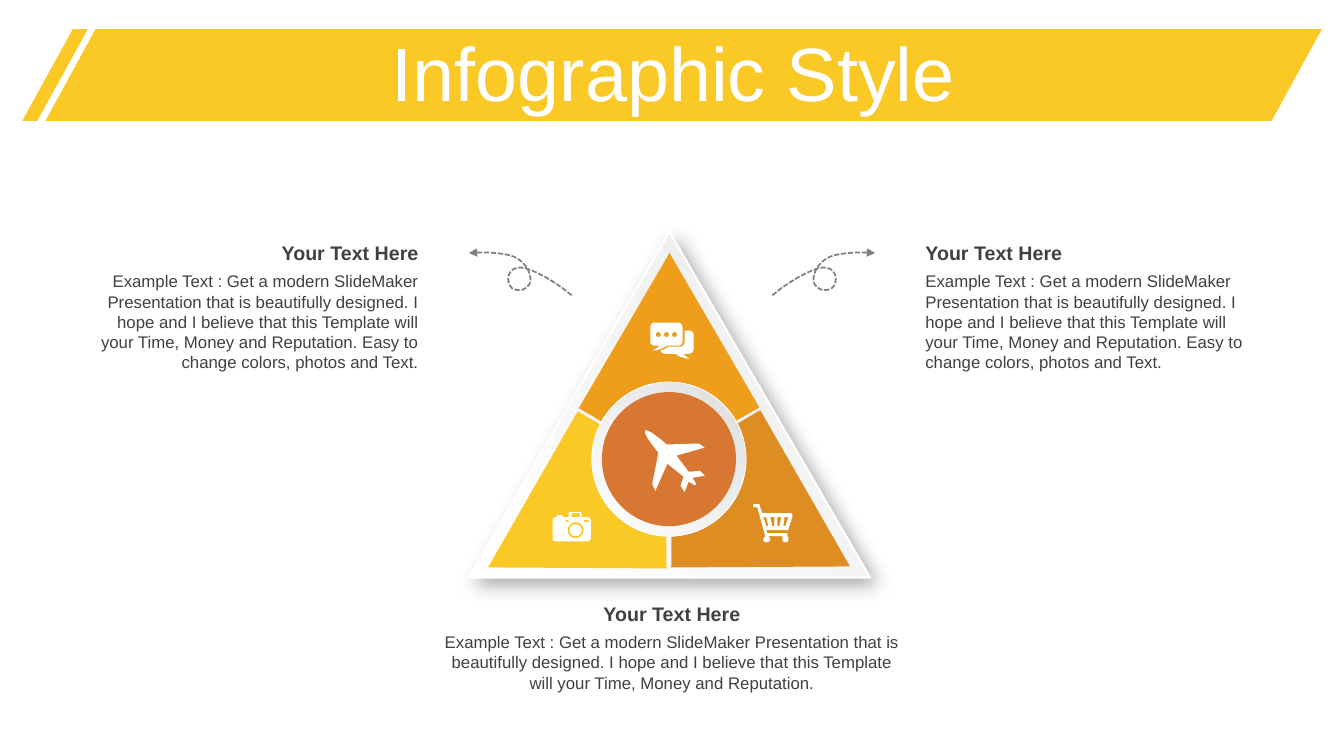
from lxml.etree import SubElement
from pptx import Presentation
from pptx.dml.color import RGBColor
from pptx.enum.dml import MSO_LINE
from pptx.enum.shapes import MSO_SHAPE
from pptx.enum.text import MSO_ANCHOR, MSO_AUTO_SIZE, PP_ALIGN
from pptx.oxml import parse_xml
from pptx.oxml.ns import nsdecls, qn
from pptx.util import Inches, Pt

COLORS = {
    "yellow": "FAC926", "orange": "EF9E1B", "amber": "DE8D22", "rust": "D87732",
    "white": "FFFFFF", "pale": "EBEBEB", "silver": "DEDEDE",
    "text": "404040", "gray": "808080", "shadow": "000000",
}
CURVE_STEPS = 6
PAGE_WIDTH = 13.33


def color(name):
    return RGBColor.from_string(COLORS[name])


def curve_points(p0, p1, p2, p3):
    """Points along a cubic curve, leaving out its start."""
    for step in range(1, CURVE_STEPS + 1):
        t = step / CURVE_STEPS
        u = 1 - t
        yield tuple(u**3 * a + 3 * u * u * t * b + 3 * u * t * t * c + t**3 * d
                    for a, b, c, d in zip(p0, p1, p2, p3))


def outline(text):
    """Turn 'x,y x,y C x,y x,y x,y L x,y' into a list of points."""
    points, controls, curved = [], [], False
    for word in text.split():
        if word in "CL":
            curved = word == "C"
            continue
        point = tuple(float(value) for value in word.split(","))
        if not curved:
            points.append(point)
            continue
        controls.append(point)
        if len(controls) == 3:
            points.extend(curve_points(points[-1], *controls))
            controls = []
    return points


def circle(x, y, radius):
    k = 0.55 * radius
    return outline(
        f"{x},{y - radius} C {x + k},{y - radius} {x + radius},{y - k} {x + radius},{y} "
        f"{x + radius},{y + k} {x + k},{y + radius} {x},{y + radius} "
        f"{x - k},{y + radius} {x - radius},{y + k} {x - radius},{y} "
        f"{x - radius},{y - k} {x - k},{y - radius} {x},{y - radius}")


def rectangle(left, top, right, bottom):
    return [(left, top), (right, top), (right, bottom), (left, bottom)]


class SlideArtist:
    def __init__(self, page, font="Arial"):
        self.page = page
        self.font = font

    def shape(self, kind, at, fill, line=None, adjust=None):
        shape = self.page.shapes.add_shape(kind, *map(Inches, at))
        shape.shadow.inherit = False
        if adjust is not None:
            shape.adjustments[0] = adjust
        if isinstance(fill, tuple):
            shape.fill.gradient()
            shape.fill.gradient_angle = 225
            for stop, name, position in zip(shape.fill.gradient_stops, fill, (0, 1)):
                stop.color.rgb = color(name)
                stop.position = position
        else:
            shape.fill.solid()
            shape.fill.fore_color.rgb = color(fill)
        if line:
            shape.line.color.rgb = color("white")
            shape.line.width = Pt(line)
        else:
            shape.line.fill.background()
        return shape

    def drop_shadow(self, shape):
        effects = shape._element.spPr.find(qn("a:effectLst"))
        effects.append(parse_xml(
            f'<a:outerShdw {nsdecls("a")} blurRad="{Pt(13)}" dist="{Pt(6)}" '
            f'dir="2700000" algn="tl" rotWithShape="0"><a:srgbClr val="{COLORS["shadow"]}">'
            '<a:alpha val="33000"/></a:srgbClr></a:outerShdw>'))

    def freeform(self, contours, fill=None):
        builder = None
        for contour in contours:
            start, *rest = [(Inches(x), Inches(y)) for x, y in contour]
            if builder is None:
                builder = self.page.shapes.build_freeform(*start, scale=1.0)
            else:
                builder.move_to(*start)
            builder.add_line_segments(rest, close=fill is not None)
        shape = builder.convert_to_shape()
        shape.shadow.inherit = False
        if fill:
            shape.fill.solid()
            shape.fill.fore_color.rgb = color(fill)
            shape.line.fill.background()
        else:
            shape.fill.background()
        return shape

    def loop_arrow(self, points):
        arrow = self.freeform([points])
        arrow.line.color.rgb = color("gray")
        arrow.line.width = Pt(1.25)
        arrow.line.dash_style = MSO_LINE.SQUARE_DOT
        SubElement(arrow.line._get_or_add_ln(), qn("a:tailEnd"), type="triangle")

    def text(self, at, words, size, align, ink="text", bold=False):
        box = self.page.shapes.add_textbox(*map(Inches, at))
        frame = box.text_frame
        frame.word_wrap = True
        para = frame.paragraphs[0]
        para.text = words
        para.alignment = align
        para.font.name = self.font
        para.font.size = Pt(size)
        para.font.bold = bold
        para.font.color.rgb = color(ink)
        return frame

    def caption(self, left, top, width, height, words, align):
        head = self.text((left, top, width, 0.34), "Your Text Here", 14, align, bold=True)
        body = self.text((left, top + 0.3, width, height), words, 12, align)
        for frame in (head, body):
            frame.auto_size = MSO_AUTO_SIZE.SHAPE_TO_FIT_TEXT


def main():
    deck = Presentation()
    deck.slide_width, deck.slide_height = Inches(PAGE_WIDTH), Inches(7.5)
    artist = SlideArtist(deck.slides.add_slide(deck.slide_layouts[6]))

    # Title banner
    for left, width, slant in ((0.45, 12.66, 0.547), (0.22, 0.65, 0.771)):
        artist.shape(MSO_SHAPE.PARALLELOGRAM, (left, 0.29, width, 0.91), "yellow", adjust=slant)
    title = artist.text((0.35, 0.37, 12.66, 0.79), "Infographic Style", 54,
                        PP_ALIGN.CENTER, "white")
    title.vertical_anchor = MSO_ANCHOR.MIDDLE
    title.paragraphs[0].line_spacing = 0.9

    # Triangle with three segments and a hub
    triangle = artist.shape(MSO_SHAPE.ISOSCELES_TRIANGLE, (4.65, 2.3, 3.98, 3.43),
                            ("pale", "white"), line=1.5)
    artist.drop_shadow(triangle)
    segments = {
        "orange": "6.64,2.51 7.53,4.04 7.52,4.05 6.62,4.56 5.74,4.05",
        "amber": "8.43,5.62 6.65,5.63 6.66,5.61 6.66,4.59 7.54,4.07",
        "yellow": "4.84,5.63 6.62,5.64 6.61,5.62 6.61,4.6 5.73,4.08",
    }
    for fill, corners in segments.items():
        artist.freeform([outline(corners)], fill)
    artist.shape(MSO_SHAPE.OVAL, (5.87, 3.79, 1.53, 1.53), ("silver", "white"), line=0.5)
    artist.shape(MSO_SHAPE.OVAL, (5.97, 3.89, 1.33, 1.33), "rust")

    # Captions
    short_story = ("Example Text : Get a modern SlideMaker Presentation that is beautifully "
                   "designed. I hope and I believe that this Template will your Time, Money "
                   "and Reputation.")
    long_story = short_story + " Easy to change colors, photos and Text."
    artist.caption(9.08, 2.34, 3.47, 1.11, long_story, PP_ALIGN.LEFT)
    artist.caption(0.78, 2.34, 3.47, 1.11, long_story, PP_ALIGN.RIGHT)
    artist.caption(4.25, 5.92, 4.83, 0.71, short_story, PP_ALIGN.CENTER)

    # Looping arrows, mirrored about the middle of the page
    loop = outline("7.66,2.93 C 7.84,2.78 8.02,2.69 8.12,2.66 8.22,2.64 8.26,2.68 8.28,2.72 "
                   "8.3,2.75 8.29,2.83 8.25,2.86 8.2,2.89 8.14,2.88 8.12,2.86 "
                   "8.09,2.84 8.06,2.81 8.07,2.75 8.08,2.68 8.12,2.62 8.19,2.57 "
                   "8.25,2.53 8.33,2.52 8.42,2.51 8.5,2.5 8.68,2.51 8.68,2.51")
    artist.loop_arrow(loop)
    artist.loop_arrow([(PAGE_WIDTH - x, y) for x, y in loop])

    # Icons
    chat = [circle(x, 3.32, 0.025) for x in (6.53, 6.61, 6.69)] + [
        outline("6.79,3.28 6.83,3.28 C 6.86,3.28 6.88,3.3 6.88,3.32 L 6.88,3.46 "
                "C 6.88,3.49 6.86,3.51 6.83,3.51 L 6.78,3.51 C 6.79,3.52 6.79,3.53 6.84,3.56 "
                "6.76,3.55 6.74,3.54 6.7,3.51 L 6.59,3.51 C 6.58,3.51 6.56,3.5 6.55,3.48 "
                "6.58,3.47 6.61,3.46 6.63,3.44 L 6.74,3.44 C 6.77,3.44 6.79,3.42 6.79,3.4"),
        outline("6.49,3.2 6.73,3.2 C 6.75,3.2 6.77,3.22 6.77,3.25 L 6.77,3.39 "
                "C 6.77,3.41 6.75,3.43 6.73,3.43 L 6.62,3.43 C 6.57,3.46 6.55,3.47 6.47,3.48 "
                "6.51,3.45 6.52,3.46 6.54,3.43 L 6.49,3.43 C 6.47,3.43 6.45,3.41 6.45,3.39 "
                "L 6.45,3.25 C 6.45,3.22 6.47,3.2 6.49,3.2")]
    cart = [outline(bar) for bar in (
        "7.78,5.13 7.77,5.22 7.79,5.22 7.82,5.13", "7.71,5.13 7.71,5.22 7.73,5.22 7.75,5.13",
        "7.64,5.13 7.66,5.22 7.68,5.22 7.68,5.13", "7.57,5.13 7.6,5.22 7.62,5.22 7.6,5.13",
        "7.53,5 7.56,5.09 7.84,5.09 C 7.85,5.09 7.86,5.1 7.86,5.12 L 7.82,5.25 "
        "7.81,5.26 7.6,5.26 7.61,5.29 7.81,5.29 7.81,5.32 7.8,5.32 "
        "C 7.82,5.32 7.82,5.34 7.82,5.35 7.82,5.37 7.81,5.38 7.79,5.38 "
        "7.77,5.38 7.76,5.37 7.76,5.35 7.76,5.34 7.76,5.32 7.77,5.32 L 7.62,5.32 "
        "C 7.63,5.33 7.64,5.34 7.64,5.35 7.64,5.37 7.62,5.38 7.6,5.38 "
        "7.58,5.38 7.57,5.37 7.57,5.35 7.57,5.34 7.58,5.33 7.59,5.32 "
        "L 7.51,5.03 7.47,5.03 7.47,5")]
    camera = [circle(5.71, 5.26, radius) for radius in (0.06, 0.08)] + [
        rectangle(5.61, 5.16, 5.64, 5.18), rectangle(5.79, 5.16, 5.84, 5.18),
        rectangle(5.67, 5.09, 5.75, 5.13),
        outline("5.65,5.08 5.76,5.08 5.77,5.09 5.77,5.13 5.83,5.13 "
                "C 5.84,5.13 5.86,5.15 5.86,5.16 L 5.86,5.34 C 5.86,5.36 5.84,5.37 5.83,5.37 "
                "L 5.51,5.37 C 5.49,5.37 5.48,5.36 5.48,5.34 L 5.48,5.16 "
                "C 5.48,5.15 5.49,5.13 5.51,5.13 L 5.52,5.13 5.52,5.11 5.58,5.11 5.58,5.13 "
                "5.64,5.13 5.64,5.09")]
    plane = [outline("6.99,4.72 6.87,4.74 C 6.88,4.76 6.91,4.8 6.9,4.81 "
                     "6.89,4.82 6.86,4.79 6.83,4.78 L 6.79,4.88 6.75,4.82 6.78,4.73 6.62,4.6 "
                     "6.5,4.87 6.47,4.8 C 6.49,4.69 6.51,4.6 6.53,4.49 6.48,4.43 6.37,4.29 "
                     "6.4,4.27 6.42,4.25 6.56,4.36 6.61,4.41 L 6.93,4.4 6.99,4.44 6.71,4.52 "
                     "6.83,4.68 C 6.86,4.68 6.94,4.67 6.94,4.67")]
    for icon in (chat, cart, camera, plane):
        artist.freeform(icon, "white")

    deck.save("out.pptx")


if __name__ == "__main__":
    main()
